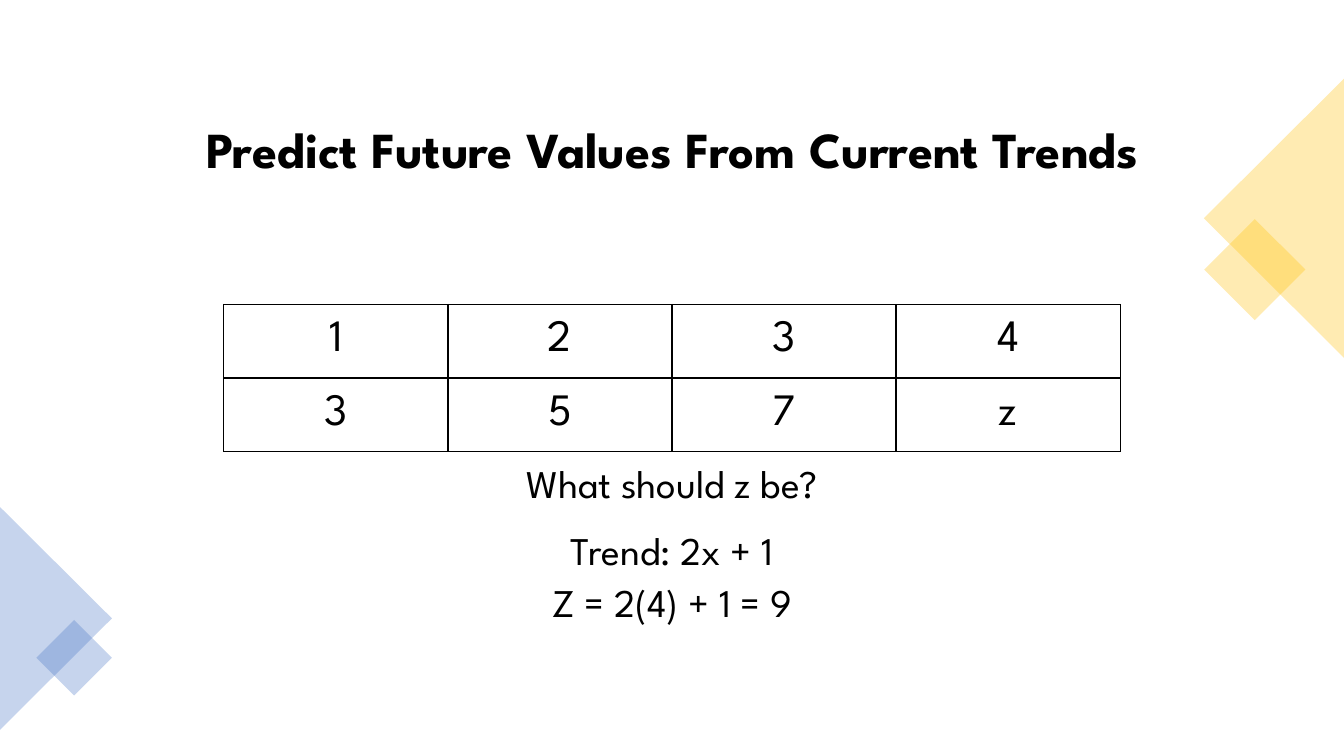
import pptx
import pptx.util
import pptx.dml.color
import pptx.enum.shapes
import pptx.enum.text
import pptx.oxml
import pptx.oxml.ns
import lxml.etree

Inches = pptx.util.Inches
COLORS = {"text": "000000", "background": "FFFFFF", "gold": "FFC000", "blue": "4472C4"}


class TrendSlide:
    """Draw styled elements on one slide."""

    font_name = "League Spartan"

    def __init__(self, presentation):
        self.slide = presentation.slides.add_slide(presentation.slide_layouts[5])
        self.paint(self.slide.background.fill, "background")

    def paint(self, fill, color):
        fill.solid()
        fill.fore_color.rgb = pptx.dml.color.RGBColor.from_string(COLORS[color])

    def add_child(self, parent, tag, **attributes):
        child = lxml.etree.SubElement(parent, pptx.oxml.ns.qn(tag))
        for name, value in attributes.items():
            child.set(name, value)
        return child

    def style_text(self, text_frame, text, size, bold=False):
        text_frame.text = text
        paragraph = text_frame.paragraphs[0]
        paragraph.alignment = pptx.enum.text.PP_ALIGN.CENTER
        font = paragraph.runs[0].font
        font.name = self.font_name
        font.size = pptx.util.Pt(size)
        font.bold = bold
        font.color.rgb = pptx.dml.color.RGBColor.from_string(COLORS["text"])
        return paragraph

    def fill_text_block(self, shape, text, size, bold=False):
        text_frame = shape.text_frame
        text_frame.word_wrap = True
        text_frame.auto_size = pptx.enum.text.MSO_AUTO_SIZE.NONE
        text_frame.vertical_anchor = pptx.enum.text.MSO_ANCHOR.MIDDLE
        paragraph = self.style_text(text_frame, text, size, bold)
        paragraph.line_spacing = 0.9
        paragraph.space_before = pptx.util.Pt(0)
        paragraph.space_after = pptx.util.Pt(6)

    def title(self, text, left, top, width, height):
        shape = self.slide.shapes.title
        shape.left, shape.top = Inches(left), Inches(top)
        shape.width, shape.height = Inches(width), Inches(height)
        self.fill_text_block(shape, text, 36, bold=True)

    def line_of_text(self, text, top):
        shape = self.slide.shapes.add_textbox(
            Inches(3.97), Inches(top), Inches(5.39), Inches(0.66))
        self.fill_text_block(shape, text, 28)

    def decoration(self, kind, color, rotation, left, top, width, height):
        shape = self.slide.shapes.add_shape(
            kind, Inches(left), Inches(top), Inches(width), Inches(height))
        shape.rotation = rotation
        shape.shadow.inherit = False
        shape.line.fill.background()
        self.paint(shape.fill, color)
        color_element = shape.element.spPr.find(".//" + pptx.oxml.ns.qn("a:srgbClr"))
        self.add_child(color_element, "a:alpha", val="30000")

    def border(self, cell):
        properties = cell._tc.get_or_add_tcPr()
        for tag in ("a:lnL", "a:lnR", "a:lnT", "a:lnB"):
            line = self.add_child(properties, tag, w=str(pptx.util.Pt(1)))
            fill = self.add_child(line, "a:solidFill")
            self.add_child(fill, "a:srgbClr", val=COLORS["text"])

    def table(self, rows, left, top, width, height):
        table = self.slide.shapes.add_table(
            len(rows), len(rows[0]), Inches(left), Inches(top),
            Inches(width), Inches(height)).table
        table.first_row = table.horz_banding = False
        for row_index, row in enumerate(rows):
            for column_index, value in enumerate(row):
                cell = table.cell(row_index, column_index)
                cell.vertical_anchor = pptx.enum.text.MSO_ANCHOR.MIDDLE
                self.style_text(cell.text_frame, value, 32)
                self.border(cell)
                cell.fill.background()


def main():
    presentation = pptx.Presentation()
    presentation.slide_width = Inches(13.33)
    presentation.slide_height = Inches(7.5)
    slide = TrendSlide(presentation)
    square = pptx.enum.shapes.MSO_SHAPE.RECTANGLE
    triangle = pptx.enum.shapes.MSO_SHAPE.ISOSCELES_TRIANGLE

    slide.title("Predict Future Values From Current Trends", 1.52, 0.89, 10.3, 1.24)
    slide.decoration(square, "gold", 45, 12.09, 2.32, 0.71, 0.71)
    slide.decoration(triangle, "gold", 270, 11.25, 1.47, 2.77, 1.39)
    slide.decoration(triangle, "blue", 90, -0.55, 5.58, 2.21, 1.11)
    slide.decoration(square, "blue", 45, 0.47, 6.26, 0.53, 0.53)
    slide.table(["1234", "357z"], 2.22, 3.02, 8.89, 1.46)
    slide.line_of_text("What should z be?", 4.49)
    slide.line_of_text("Trend: 2x + 1", 5.15)
    slide.line_of_text("Z = 2(4) + 1 = 9", 5.67)
    presentation.save("out.pptx")


if __name__ == "__main__":
    main()
